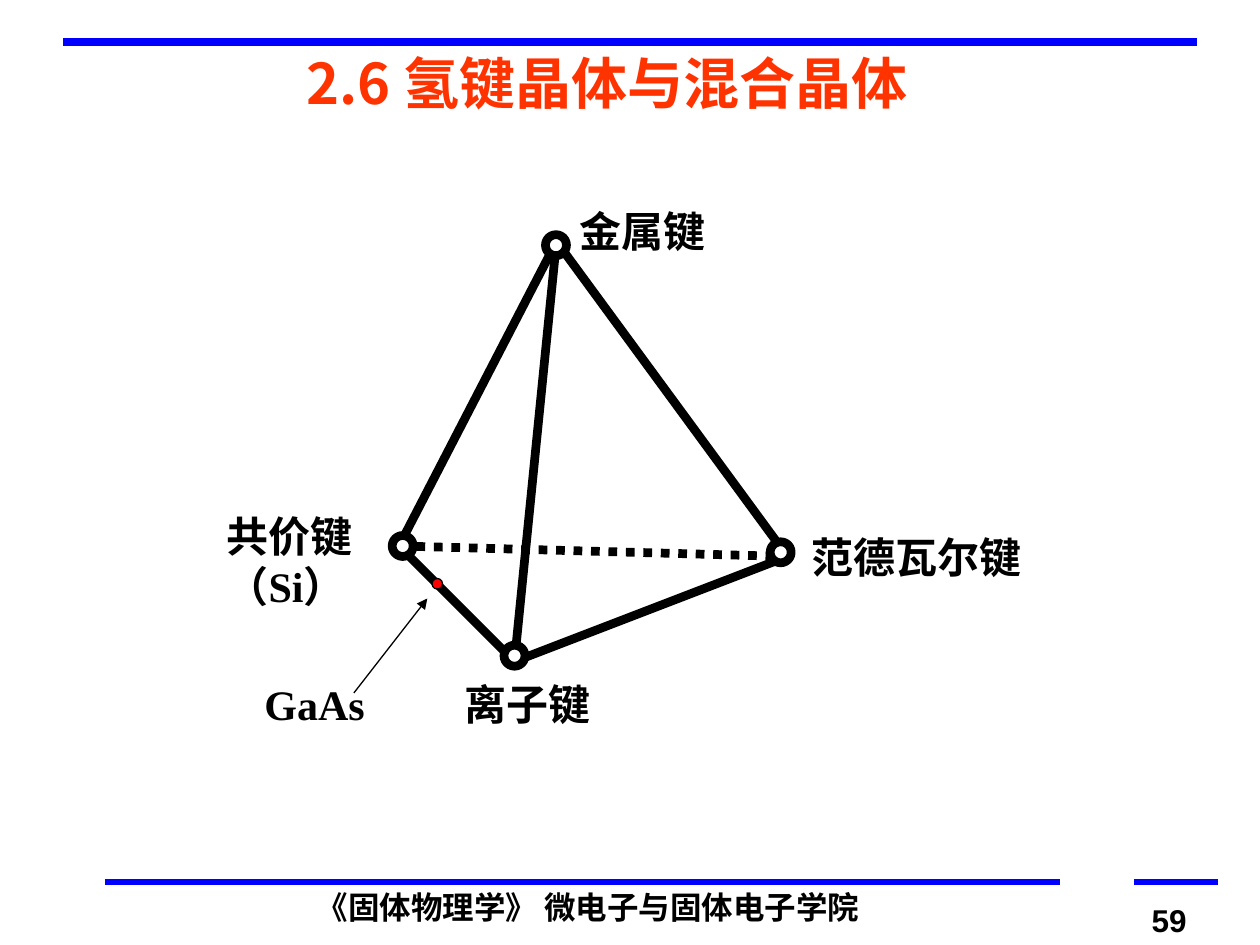
from pptx import Presentation
from pptx.dml.color import RGBColor
from pptx.enum.dml import MSO_LINE
from pptx.enum.shapes import MSO_CONNECTOR, MSO_SHAPE
from pptx.enum.text import MSO_AUTO_SIZE
from pptx.oxml.ns import qn
from pptx.util import Inches, Pt

STRAIGHT = MSO_CONNECTOR.STRAIGHT
OVAL = MSO_SHAPE.OVAL
DOTTED = MSO_LINE.ROUND_DOT
GROW = MSO_AUTO_SIZE.SHAPE_TO_FIT_TEXT

HAN, SERIF, SANS = "Noto Sans CJK SC", "Times New Roman", "Arial"
BLACK, BLUE, RED, WHITE, ORANGE = "000000", "0000FF", "FF0000", "FFFFFF", "FF3300"

METAL, COVALENT, IONIC, VAN_DER_WAALS = (53, 23), (38, 52), (49, 63), (75, 53)
EDGES = [
    (METAL, COVALENT, None),
    (COVALENT, IONIC, None),
    (IONIC, VAN_DER_WAALS, None),
    (COVALENT, VAN_DER_WAALS, DOTTED),
    (METAL, VAN_DER_WAALS, None),
    (METAL, IONIC, None),
]
RING_CENTRES = [(49, 62.45), (38.35, 52), (52.95, 23.35), (74.35, 52.6)]
BOND_LABELS = [
    ((20.4, 48, 18, 10.8), [("共价键", HAN), ("（Si）", SERIF)]),
    ((43.1, 64, 15, 6), [("离子键", HAN)]),
    ((76.1, 50, 24, 6), [("范德瓦尔键", HAN)]),
    ((54, 19, 15, 6), [("金属键", HAN)]),
    ((24, 64, 14, 6), [("GaAs", SERIF)]),
]


def grid(units):
    """Turn grid units, twelve to the inch, into a length."""
    return Inches(units / 12)


def colour(value):
    """Turn a hex string into a colour."""
    return RGBColor.from_string(value)


def add_line(page, start, end, width, shade=BLACK, dash=None, arrow=False):
    """Draw a straight line between two grid points."""
    ends = [grid(units) for units in (*start, *end)]
    line = page.shapes.add_connector(STRAIGHT, *ends)
    line.line.color.rgb = colour(shade)
    line.line.width = Pt(width)
    if dash is not None:
        line.line.dash_style = dash
    properties = line._element.spPr
    if arrow:
        outline = properties.find(qn("a:ln"))
        head = outline.makeelement(qn("a:tailEnd"), {"type": "triangle"})
        outline.append(head)
    properties.append(properties.makeelement(qn("a:effectLst"), {}))


def add_circle(page, centre, size, fill, width):
    """Draw a filled circle around a grid point."""
    left, top = (grid(units - size / 2) for units in centre)
    circle = page.shapes.add_shape(OVAL, left, top, grid(size), grid(size))
    circle.shadow.inherit = False
    circle.fill.solid()
    circle.fill.fore_color.rgb = colour(fill)
    circle.line.color.rgb = colour(BLACK)
    circle.line.width = Pt(width)


def add_text(page, area, lines, size, shade=BLACK, wrap=False):
    """Write bold lines, each a pair of wording and font, in a text box."""
    box = page.shapes.add_textbox(*(grid(units) for units in area))
    frame = box.text_frame
    frame.word_wrap = wrap
    frame.auto_size = GROW
    frame.text = "\n".join(wording for wording, _ in lines)
    for para, (_, font_name) in zip(frame.paragraphs, lines):
        span = para.runs[0]
        span.font.name = font_name
        span.font.size = Pt(size)
        span.font.bold = True
        span.font.color.rgb = colour(shade)
        properties = span.font._element
        east_asian = properties.makeelement(qn("a:ea"), {"typeface": HAN})
        properties.append(east_asian)


def add_frame(page):
    """Draw the rules, title, footer and page number."""
    add_line(page, (6, 4), (114, 4), 4.5, BLUE)
    add_text(page, (29, 84, 55.2, 4.8), [("《固体物理学》 微电子与固体电子学院", HAN)], 18)
    for left, right in ((10, 101), (108, 116)):
        add_line(page, (left, 84), (right, 84), 3, BLUE)
    add_text(page, (108.5, 85.2, 16.9, 4.8), [("59", SANS)], 18)
    add_text(page, (28, 4, 68, 7.7), [("2.6 氢键晶体与混合晶体", HAN)], 32, ORANGE, True)


def add_tetrahedron(page):
    """Draw the bond tetrahedron with its labels and the GaAs point."""
    for start, end, dash in EDGES:
        add_line(page, start, end, 5, dash=dash)
    for centre in RING_CENTRES:
        add_circle(page, centre, 2, WHITE, 5)
    add_circle(page, (41.65, 55.6), 1, RED, 0.75)
    add_line(page, (33.7, 66), (40.7, 57), 0.75, arrow=True)
    for area, lines in BOND_LABELS:
        add_text(page, area, lines, 24)


def main():
    """Build the slide and save it."""
    deck = Presentation()
    deck.slide_width, deck.slide_height = grid(120), grid(90)
    page = deck.slides.add_slide(deck.slide_layouts[6])
    add_frame(page)
    add_tetrahedron(page)
    deck.save("out.pptx")


if __name__ == "__main__":
    main()
